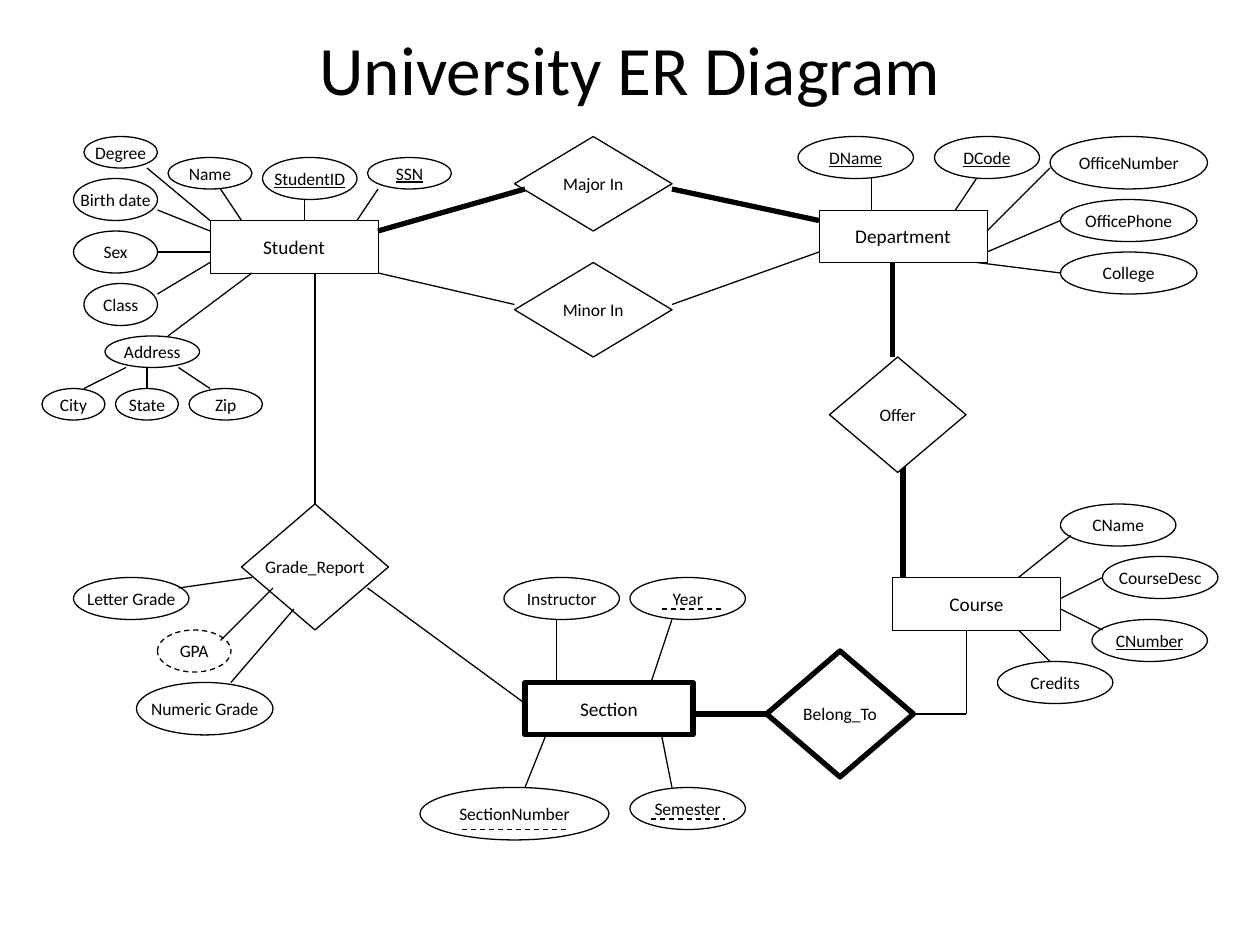
from lxml.etree import SubElement
from pptx import Presentation
from pptx.dml.color import RGBColor
from pptx.enum.dml import MSO_LINE as Dash
from pptx.enum.shapes import MSO_CONNECTOR as Connector, MSO_SHAPE as Preset
from pptx.enum.text import MSO_ANCHOR as Anchor, PP_ALIGN as Align
from pptx.oxml.ns import qn
from pptx.util import Inches, Pt

BLACK = "000000"
WHITE = "FFFFFF"
THIN, NORMAL, THICK = 0.25, 0.75, 3

STUDENT_ATTRIBUTES = [
    ("Class", 8, 27, 7, 4), ("StudentID", 25, 15, 9, 4), ("SSN", 35, 15, 8, 3),
    ("Sex", 7, 22, 8, 4), ("Zip", 18, 37, 7, 3), ("Degree", 8, 13, 7, 3),
    ("City", 4, 37, 6, 3), ("Birth date", 7, 17, 8, 4), ("State", 11, 37, 6, 3),
    ("Name", 16, 15, 8, 3), ("Address", 10, 32, 9, 3),
]
STUDENT_LINKS = [
    (8, 37, 12, 35), (14, 35, 14, 37), (17, 35, 20, 37), (14, 16, 20, 21),
    (16, 32, 24, 26), (15, 28, 20, 25), (15, 24, 20, 24), (15, 20, 20, 22),
    (21, 18, 23, 21), (29, 19, 29, 21), (36, 18, 34, 21),
]
DEPARTMENT_ATTRIBUTES = [
    ("DName", 76, 13, 11, 4), ("DCode", 89, 13, 10, 4),
    ("OfficeNumber", 100, 13, 15, 5), ("OfficePhone", 101, 19, 13, 4),
    ("College", 101, 24, 13, 4),
]
DEPARTMENT_LINKS = [
    (83, 20, 83, 17), (91, 20, 93, 17), (94, 22, 100, 16),
    (94, 24, 101, 21), (93, 25, 101, 26),
]
COURSE_ATTRIBUTES = [
    ("CName", 101, 48, 11, 4), ("CourseDesc", 105, 53, 11, 4),
    ("CNumber", 104, 59, 11, 4), ("Credits", 95, 63, 11, 4),
]
COURSE_LINKS = [
    (97, 55, 102, 51), (101, 57, 105, 55), (101, 58, 105, 60), (97, 60, 100, 63),
]
SECTION_ATTRIBUTES = [
    ("Instructor", 48, 55, 11, 4), ("Year", 60, 55, 11, 4),
    ("Semester", 60, 75, 11, 4), ("SectionNumber", 40, 75, 18, 5),
]
SECTION_LINKS = [
    (53, 65, 53, 59), (63, 70, 64, 75), (52, 70, 50, 75), (62, 65, 64, 59),
]
PARTIAL_KEY_LINES = [(44, 79, 54, 79), (63, 58, 69, 58), (62, 78, 69, 78)]
GRADE_ATTRIBUTES = [
    ("GPA", 15, 60, 7, 4), ("Numeric Grade", 13, 65, 13, 5),
    ("Letter Grade", 7, 55, 11, 4),
]
GRADE_LINKS = [
    (22, 65, 28, 58), (24, 55, 17, 56), (21, 61, 26, 56),
    (35, 56, 50, 67), (30, 48, 30, 26),
]
KEYS = {"StudentID", "SSN", "DName", "DCode", "CNumber"}
DERIVED = {"GPA"}


def color(value):
    return RGBColor.from_string(value)


def twelfths(count):
    return Inches(count / 12)


def style_line(line, weight, dashed=False):
    line.color.rgb = color(BLACK)
    line.width = Pt(weight)
    if dashed:
        line.dash_style = Dash.DASH


def write(shape, text, size, underline=None):
    frame = shape.text_frame
    frame.word_wrap = False
    frame.vertical_anchor = Anchor.MIDDLE
    paragraph = frame.paragraphs[0]
    paragraph.alignment = Align.CENTER
    run = paragraph.add_run()
    run.text = text
    run.font.name = "Calibri"
    run.font.size = Pt(size)
    run.font.underline = underline
    run.font.color.rgb = color(BLACK)


def add_node(shapes, preset, box, weight, dashed=False, fill=None):
    shape = shapes.add_shape(preset, *map(twelfths, box))
    shape.shadow.inherit = False
    if fill:
        shape.fill.solid()
        shape.fill.fore_color.rgb = color(fill)
    else:
        shape.fill.background()
    style_line(shape.line, weight, dashed)
    return shape


def add_entity(shapes, name, left, top, weight=THIN):
    shape = add_node(shapes, Preset.RECTANGLE, (left, top, 16, 5), weight)
    write(shape, name, 11)


def add_attributes(shapes, attributes):
    for name, *box in attributes:
        shape = add_node(shapes, Preset.OVAL, box, NORMAL, name in DERIVED)
        write(shape, name, 10, True if name in KEYS else None)


def add_relationship(shapes, name, box, weight=NORMAL, fill=None):
    shape = add_node(shapes, Preset.DIAMOND, box, weight, fill=fill)
    write(shape, name, 10)
    return shape


def add_link(shapes, ends, weight=NORMAL, dashed=False):
    link = shapes.add_connector(Connector.STRAIGHT, *map(twelfths, ends))
    style_line(link.line, weight, dashed)
    SubElement(link._element.spPr, qn("a:effectLst"))
    return link


def add_links(shapes, links, dashed=False):
    return [add_link(shapes, ends, dashed=dashed) for ends in links]


def add_title(shapes, text):
    title = shapes.add_textbox(*map(twelfths, (9, 4, 102, 5)))
    write(title, text, 39.6)
    title.text_frame.word_wrap = True


def add_entity_group(shapes, name, left, top, attributes, links):
    members = shapes.add_group_shape().shapes
    add_entity(members, name, left, top)
    add_attributes(members, attributes)
    add_links(members, links)


def add_section(shapes):
    add_entity(shapes, "Section", 50, 65, THICK)
    add_attributes(shapes, SECTION_ATTRIBUTES)
    add_links(shapes, SECTION_LINKS)
    add_links(shapes, PARTIAL_KEY_LINES, dashed=True)


def add_grade_report(shapes):
    add_attributes(shapes, GRADE_ATTRIBUTES)
    grade_report = add_relationship(shapes, "Grade_Report", (23, 48, 14, 12))
    student_link = add_links(shapes, GRADE_LINKS)[-1]
    student_link.begin_connect(grade_report, 0)


def add_belong_to(shapes):
    belong_to = add_relationship(shapes, "Belong_To", (73, 62, 14, 12), THICK)
    add_link(shapes, (66, 68, 73, 68), THICK).end_connect(belong_to, 1)
    add_link(shapes, (92, 60, 92, 68), THIN)
    add_link(shapes, (87, 68, 92, 68)).begin_connect(belong_to, 3)


def add_offer(shapes):
    add_link(shapes, (86, 55, 86, 44), THICK)
    add_relationship(shapes, "Offer", (79, 34, 13, 11), fill=WHITE)
    add_link(shapes, (85, 34, 85, 25), THICK)


def add_majors(shapes):
    for name, top in (("Minor In", 25), ("Major In", 13)):
        add_relationship(shapes, name, (49, top, 15, 9))
    for ends in ((36, 22, 50, 18), (64, 18, 78, 21)):
        add_link(shapes, ends, THICK)
    add_links(shapes, [(36, 26, 49, 29), (64, 29, 78, 24)])


def main():
    presentation = Presentation()
    presentation.slide_width = Inches(10)
    presentation.slide_height = Inches(7.5)
    slide = presentation.slides.add_slide(presentation.slide_layouts[6])
    shapes = slide.shapes
    add_title(shapes, "University ER Diagram")
    add_entity(shapes, "Student", 20, 21)
    add_attributes(shapes, STUDENT_ATTRIBUTES)
    add_links(shapes, STUDENT_LINKS)
    add_entity_group(shapes, "Department", 78, 20, DEPARTMENT_ATTRIBUTES, DEPARTMENT_LINKS)
    add_entity_group(shapes, "Course", 85, 55, COURSE_ATTRIBUTES, COURSE_LINKS)
    add_section(shapes)
    add_grade_report(shapes)
    add_belong_to(shapes)
    add_offer(shapes)
    add_majors(shapes)
    presentation.save("out.pptx")


if __name__ == "__main__":
    main()
